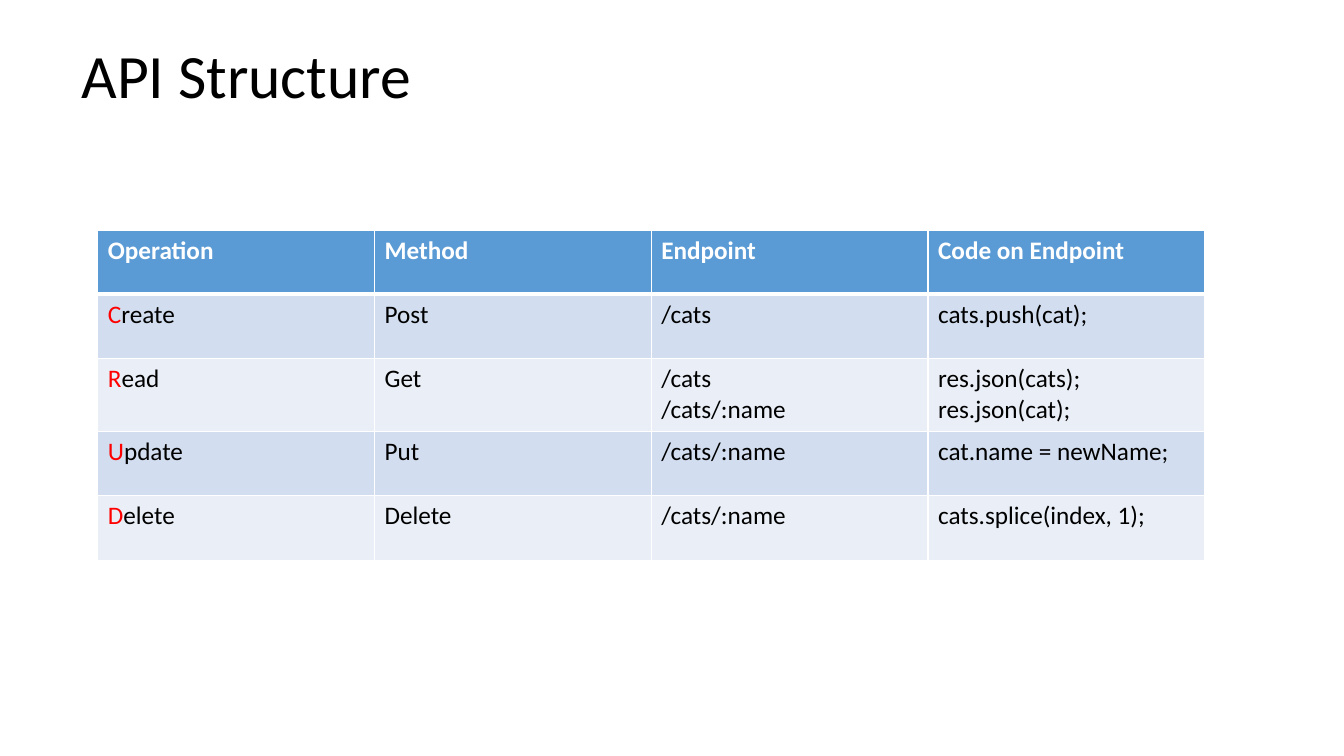
from lxml import etree
from pptx import Presentation
from pptx.dml.color import RGBColor
from pptx.enum.text import MSO_ANCHOR
from pptx.oxml.ns import qn
from pptx.util import Pt

TOP = MSO_ANCHOR.TOP
PX = 9144  # 100 px to the inch
THEME = {
    "font": "Calibri", "title": 44, "body": 18,
    "ink": "000000", "accent": "FF0000", "white": "FFFFFF",
    "head": "5B9BD5", "bands": ("EAEFF7", "D2DEEF"),
}
ROWS = [
    ("Operation", "Method", "Endpoint", "Code on Endpoint"),
    ("Create", "Post", "/cats", "cats.push(cat);"),
    ("Read", "Get", "/cats\n/cats/:name", "res.json(cats);\nres.json(cat);"),
    ("Update", "Put", "/cats/:name", "cat.name = newName;"),
    ("Delete", "Delete", "/cats/:name", "cats.splice(index, 1);"),
]
HEIGHTS = (63, 64, 72, 64, 64)
COL = 274.5 * PX


def style(run, size, color, bold=False):
    run.font.name = THEME["font"]
    run.font.size = Pt(size)
    run.font.bold = bold
    run.font.color.rgb = RGBColor.from_string(color)


def border(cell, side, width):
    line = etree.SubElement(cell._tc.get_or_add_tcPr(), qn("a:ln" + side), w=str(Pt(width)))
    fill = etree.SubElement(line, qn("a:solidFill"))
    etree.SubElement(fill, qn("a:srgbClr"), val=THEME["white"])


prs = Presentation()
prs.slide_width, prs.slide_height = 1333 * PX, 750 * PX
slide = prs.slides.add_slide(prs.slide_layouts[6])

# Title
frame = slide.shapes.add_textbox(71 * PX, 40 * PX, 1150 * PX, 145 * PX).text_frame
frame.word_wrap = True
frame.vertical_anchor = TOP
frame.text = "API Structure"
frame.paragraphs[0].line_spacing = 0.9
style(frame.paragraphs[0].runs[0], THEME["title"], THEME["ink"])

# Table grid
table = slide.shapes.add_table(
    len(ROWS), len(ROWS[0]), 97 * PX, 229 * PX, 1098 * PX, sum(HEIGHTS) * PX).table
for col in table.columns:
    col.width = int(COL)
for row, high in zip(table.rows, HEIGHTS):
    row.height = high * PX

# Cells
for r, row in enumerate(ROWS):
    head = r == 0
    color = THEME["white"] if head else THEME["ink"]
    for c, text in enumerate(row):
        cell = table.cell(r, c)
        for side in "LRTB":
            thick = (r, side) in ((0, "B"), (1, "T"))
            border(cell, side, 3 if thick else 1)
        cell.fill.solid()
        cell.fill.fore_color.rgb = RGBColor.from_string(
            THEME["head"] if head else THEME["bands"][r % 2])
        cell.text_frame.text = text
        first = cell.text_frame.paragraphs[0]
        initial = c == 0 and not head
        if initial:
            first.text = text[0]
            first.add_run().text = text[1:]
        for para in cell.text_frame.paragraphs:
            for run in para.runs:
                style(run, THEME["body"], color, head)
        # Red initial of each operation
        if initial:
            first.runs[0].font.color.rgb = RGBColor.from_string(THEME["accent"])

prs.save("out.pptx")
